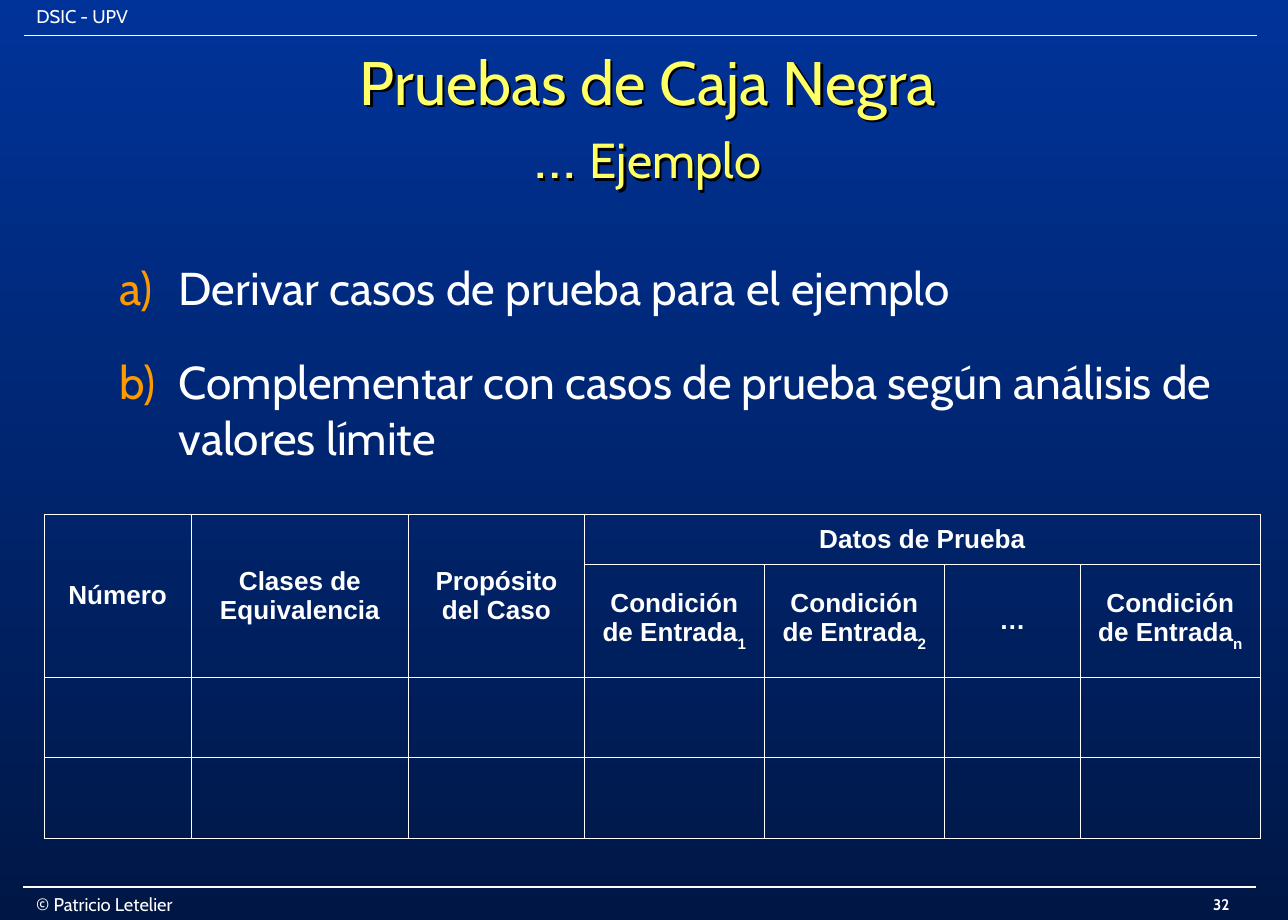
from lxml import etree
from pptx import Presentation
from pptx.dml.color import RGBColor
from pptx.enum.shapes import MSO_CONNECTOR
from pptx.enum.text import MSO_ANCHOR, MSO_AUTO_SIZE, PP_ALIGN
from pptx.oxml import parse_xml
from pptx.oxml.ns import nsdecls, qn
from pptx.util import Inches, Pt

# Content
HEADER, COPYRIGHT, PAGE = "DSIC - UPV", "© Patricio Letelier", "32"
TITLE, SUBTITLE = "Pruebas de Caja Negra\v… ", "Ejemplo"
TASKS = [
    "Derivar casos de prueba para el ejemplo",
    "Complementar con casos de prueba según análisis de valores límite",
]
MAIN_HEADINGS = ["Número", "Clases de Equivalencia", "Propósito del Caso"]
DATA_HEADING = "Datos de Prueba"
CONDITION = "Condición de Entrada"
CONDITIONS = [(CONDITION, "1"), (CONDITION, "2"), ("…", ""), (CONDITION, "n")]

# Layout and style
WIDTH, HEIGHT = 11.66, 8.33
COLUMNS = [1.33, 1.97, 1.59, 1.63, 1.63, 1.23, 1.63]
ROWS = [0.45, 1.02, 0.73, 0.73]
RULES = [(0.22, 0.32), (0.21, 8.03)]
RULE_LENGTH = 11.16
WHITE, YELLOW, ORANGE = "FFFFFF", "FFFF66", "FF9900"
TOP_BLUE, BOTTOM_BLUE = "003399", "001746"
TEXT_FONT, TABLE_FONT = "Cabin", "Arial"


def color(value):
    return RGBColor.from_string(value)


def format_run(run, size, name=TEXT_FONT, fill=WHITE, bold=False):
    run.font.size, run.font.name, run.font.bold = Pt(size), name, bold
    run.font.color.rgb = color(fill)


def add_text(slide, box, lines, size, anchor=MSO_ANCHOR.TOP, align=PP_ALIGN.LEFT, bold=False):
    frame = slide.shapes.add_textbox(*map(Inches, box)).text_frame
    frame.word_wrap, frame.vertical_anchor = True, anchor
    frame.text = "\n".join(lines)
    for paragraph in frame.paragraphs:
        paragraph.alignment = align
        format_run(paragraph.runs[0], size, bold=bold)
    return frame


def add_rule(slide, left, top):
    line = slide.shapes.add_connector(
        MSO_CONNECTOR.STRAIGHT, *map(Inches, (left, top, left + RULE_LENGTH, top)))
    line.line.color.rgb, line.line.width = color(WHITE), Pt(1)
    etree.SubElement(line._element.spPr, qn("a:effectLst"))


def add_text_shadow(shape):
    # An unfilled shape casts the shadow of its text
    shape.fill.background()
    shape._element.spPr.append(parse_xml(
        f'<a:effectLst {nsdecls("a")}><a:outerShdw dist="25400" dir="2700000">'
        '<a:srgbClr val="000000"/></a:outerShdw></a:effectLst>'))


def add_title(slide):
    title = slide.shapes.title
    title.left, title.top, title.width, title.height = map(Inches, (0.33, 0.6, 11.07, 0.93))
    add_text_shadow(title)
    frame = title.text_frame
    frame.auto_size, frame.vertical_anchor = MSO_AUTO_SIZE.NONE, MSO_ANCHOR.MIDDLE
    frame.word_wrap = True
    frame.text = TITLE
    paragraph = frame.paragraphs[0]
    paragraph.alignment = PP_ALIGN.CENTER
    paragraph.add_run().text = SUBTITLE
    for run in paragraph.runs:
        format_run(run, 32 if run.text == SUBTITLE else 40, fill=YELLOW)


def add_tasks(slide):
    frame = add_text(slide, (0.98, 2.3, 10.12, 2.35), TASKS, 30)
    for index, paragraph in enumerate(frame.paragraphs):
        if index:
            paragraph.space_before = Pt(25.5)
        properties = paragraph._p.get_or_add_pPr()
        properties.set("marL", str(Inches(0.54)))
        properties.set("indent", str(-Inches(0.54)))
        bullet_color = etree.SubElement(properties, qn("a:buClr"))
        etree.SubElement(bullet_color, qn("a:srgbClr"), val=ORANGE)
        etree.SubElement(properties, qn("a:buFont"), typeface=TEXT_FONT)
        etree.SubElement(properties, qn("a:buAutoNum"), type="alphaLcParenR")


def style_cell(cell):
    cell.fill.background()
    properties = cell._tc.get_or_add_tcPr()
    for index, side in enumerate(("lnL", "lnR", "lnT", "lnB")):
        properties.insert(index, parse_xml(
            f'<a:{side} {nsdecls("a")} w="{Pt(0.45)}"><a:solidFill>'
            f'<a:srgbClr val="{WHITE}"/></a:solidFill></a:{side}>'))


def set_heading(cell, text, subscript=""):
    cell.vertical_anchor = MSO_ANCHOR.MIDDLE
    paragraph = cell.text_frame.paragraphs[0]
    paragraph.text, paragraph.alignment = text, PP_ALIGN.CENTER
    if subscript:
        run = paragraph.add_run()
        run.text = subscript
        run.font._element.set("baseline", "-30000")
    for run in paragraph.runs:
        format_run(run, 17, TABLE_FONT, bold=True)


def add_case_table(slide):
    table = slide.shapes.add_table(
        len(ROWS), len(COLUMNS), Inches(0.4), Inches(4.66),
        Inches(sum(COLUMNS)), Inches(sum(ROWS))).table
    table.first_row = table.horz_banding = False
    for column, width in zip(table.columns, COLUMNS):
        column.width = Inches(width)
    for row, height in zip(table.rows, ROWS):
        row.height = Inches(height)
    for cell in table.iter_cells():
        style_cell(cell)

    # Headings: the first ones span two rows, the data heading spans its conditions
    first_data = len(MAIN_HEADINGS)
    for index, heading in enumerate(MAIN_HEADINGS):
        table.cell(0, index).merge(table.cell(1, index))
        set_heading(table.cell(0, index), heading)
    table.cell(0, first_data).merge(table.cell(0, len(COLUMNS) - 1))
    set_heading(table.cell(0, first_data), DATA_HEADING)
    for index, (text, subscript) in enumerate(CONDITIONS, first_data):
        set_heading(table.cell(1, index), text, subscript)


def main():
    presentation = Presentation()
    presentation.slide_width, presentation.slide_height = Inches(WIDTH), Inches(HEIGHT)
    slide = presentation.slides.add_slide(presentation.slide_layouts[5])

    # Background
    background = slide.background.fill
    background.gradient()
    background.gradient_angle = 270
    for stop, value in zip(background.gradient_stops, (TOP_BLUE, BOTTOM_BLUE)):
        stop.color.rgb = color(value)

    # Header and footer
    add_text(slide, (0.23, 0, 3.99, 0.3), [HEADER], 12)
    for left, top in RULES:
        add_rule(slide, left, top)
    add_text(slide, (0.23, 8.05, 1.6, 0.28), [COPYRIGHT], 12, MSO_ANCHOR.MIDDLE)
    add_text(slide, (10.6, 8.05, 0.91, 0.28), [PAGE], 10,
             MSO_ANCHOR.MIDDLE, PP_ALIGN.CENTER, bold=True)

    # Slide body
    add_title(slide)
    add_tasks(slide)
    add_case_table(slide)
    presentation.save("out.pptx")


if __name__ == "__main__":
    main()
